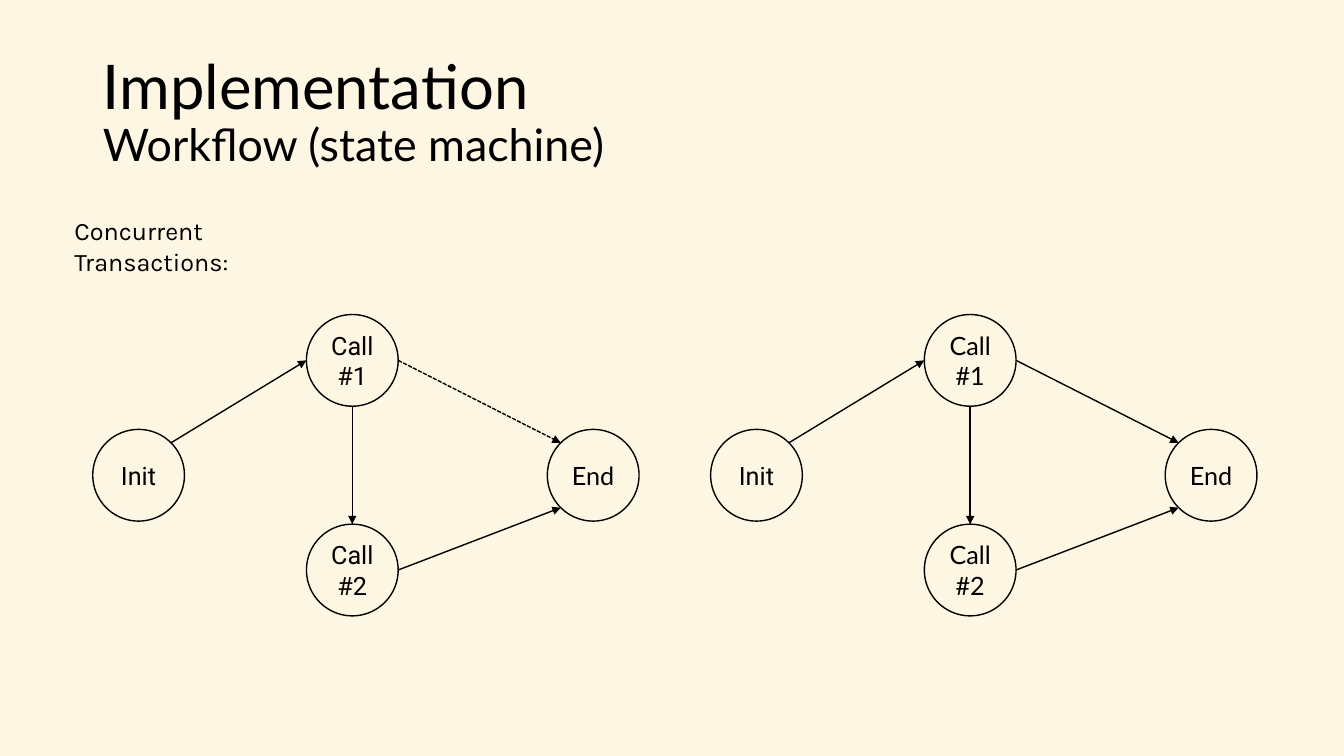
from dataclasses import dataclass
from math import sqrt

from lxml import etree
from pptx import Presentation
from pptx.dml.color import RGBColor
from pptx.enum.dml import MSO_LINE
from pptx.enum.shapes import MSO_CONNECTOR, MSO_SHAPE
from pptx.enum.text import MSO_ANCHOR, MSO_AUTO_SIZE, PP_ALIGN
from pptx.oxml.ns import qn
from pptx.util import Inches, Pt

OVAL = MSO_SHAPE.OVAL
STRAIGHT = MSO_CONNECTOR.STRAIGHT
DASH = MSO_LINE.SQUARE_DOT
LEFT, CENTER = PP_ALIGN.LEFT, PP_ALIGN.CENTER
TOP, MIDDLE = MSO_ANCHOR.TOP, MSO_ANCHOR.MIDDLE
FIXED = MSO_AUTO_SIZE.NONE


@dataclass(frozen=True)
class Theme:
    paper: RGBColor = RGBColor(0xFD, 0xF6, 0xE3)
    ink: RGBColor = RGBColor(0, 0, 0)
    head: str = "Lato"
    node: str = "Roboto"
    note: str = "Karla"
    title: int = 44
    sub: int = 32
    body: int = 18
    line: int = 1


THEME = Theme()
SIZE = 0.91
DIAG = SIZE / 2 / sqrt(2)

# Top left of each state, from the corner of its graph
STATES = {
    "Init": (0, 1.14),
    "Call #1": (2.12, 0),
    "End": (4.51, 1.14),
    "Call #2": (2.12, 2.08),
}
# Places on a circle, from its centre
SITES = {
    "top": (0, -SIZE / 2),
    "bottom": (0, SIZE / 2),
    "left": (-SIZE / 2, 0),
    "right": (SIZE / 2, 0),
    "top right": (DIAG, -DIAG),
    "top left": (-DIAG, -DIAG),
    "bottom left": (-DIAG, DIAG),
}
STEPS = [
    ("Init", "top right", "Call #1", "left"),
    ("Call #1", "right", "End", "top left"),
    ("Call #1", "bottom", "Call #2", "top"),
    ("Call #2", "right", "End", "bottom left"),
]
SKIP = ("Call #1", "End")


def set_font(font, name, size):
    font.name = name
    font.size = Pt(size)
    font.color.rgb = THEME.ink


def add_title(slide, left, top, width, height):
    title = slide.shapes.title
    title.left, title.top = Inches(left), Inches(top)
    title.width, title.height = Inches(width), Inches(height)
    frame = title.text_frame
    frame.auto_size = FIXED
    frame.vertical_anchor = MIDDLE
    para = frame.paragraphs[0]
    para.alignment = LEFT
    para.line_spacing = 0.9
    first = para.add_run()
    first.text = "Implementation"
    set_font(first.font, THEME.head, THEME.title)
    para.add_line_break()
    second = para.add_run()
    second.text = "Workflow (state machine)"
    set_font(second.font, THEME.head, THEME.sub)


def add_note(slide, left, top, width, height):
    box = slide.shapes.add_textbox(
        Inches(left), Inches(top), Inches(width), Inches(height))
    frame = box.text_frame
    frame.word_wrap = True
    frame.vertical_anchor = TOP
    para = frame.paragraphs[0]
    para.text = "Concurrent Transactions:"
    set_font(para.font, THEME.note, THEME.body)


def add_state(slide, label, left, top, face):
    state = slide.shapes.add_shape(
        OVAL, Inches(left), Inches(top), Inches(SIZE), Inches(SIZE))
    state.shadow.inherit = False
    state.fill.background()
    state.line.color.rgb = THEME.ink
    state.line.width = Pt(THEME.line)
    frame = state.text_frame
    frame.word_wrap = True
    frame.vertical_anchor = MIDDLE
    para = frame.paragraphs[0]
    para.text = label
    para.alignment = CENTER
    set_font(para.font, face, THEME.body)


def add_arrow(slide, start, end, dashed):
    ends = [Inches(value) for value in (*start, *end)]
    arrow = slide.shapes.add_connector(STRAIGHT, *ends)
    arrow.line.color.rgb = THEME.ink
    arrow.line.width = Pt(THEME.line)
    if dashed:
        arrow.line.dash_style = DASH
    props = arrow._element.spPr
    etree.SubElement(props.find(qn("a:ln")), qn("a:tailEnd"), type="triangle")
    etree.SubElement(props, qn("a:effectLst"))


def add_graph(slide, left, top, lato, dashed):
    """Draw one state machine; lato and dashed list the states and steps so styled."""

    def point(label, site):
        x, y = STATES[label]
        dx, dy = SITES[site]
        return left + x + SIZE / 2 + dx, top + y + SIZE / 2 + dy

    for label, (x, y) in STATES.items():
        face = THEME.head if label in lato else THEME.node
        add_state(slide, label, left + x, top + y, face)
    for source, leave, target, enter in STEPS:
        add_arrow(slide, point(source, leave), point(target, enter),
                  (source, target) in dashed)


def main():
    deck = Presentation()
    deck.slide_width, deck.slide_height = Inches(40 / 3), Inches(7.5)
    slide = deck.slides.add_slide(deck.slide_layouts.get_by_name("Title Only"))
    fill = slide.background.fill
    fill.solid()
    fill.fore_color.rgb = THEME.paper
    add_title(slide, 0.92, 0.4, 11.5, 1.45)
    add_graph(slide, 0.92, 3.12, {"End"}, {SKIP})
    add_graph(slide, 7.05, 3.12, {"Call #1", "Call #2", "End"}, set())
    add_note(slide, 0.64, 2.09, 3.03, 0.4)
    deck.save("out.pptx")


if __name__ == "__main__":
    main()
